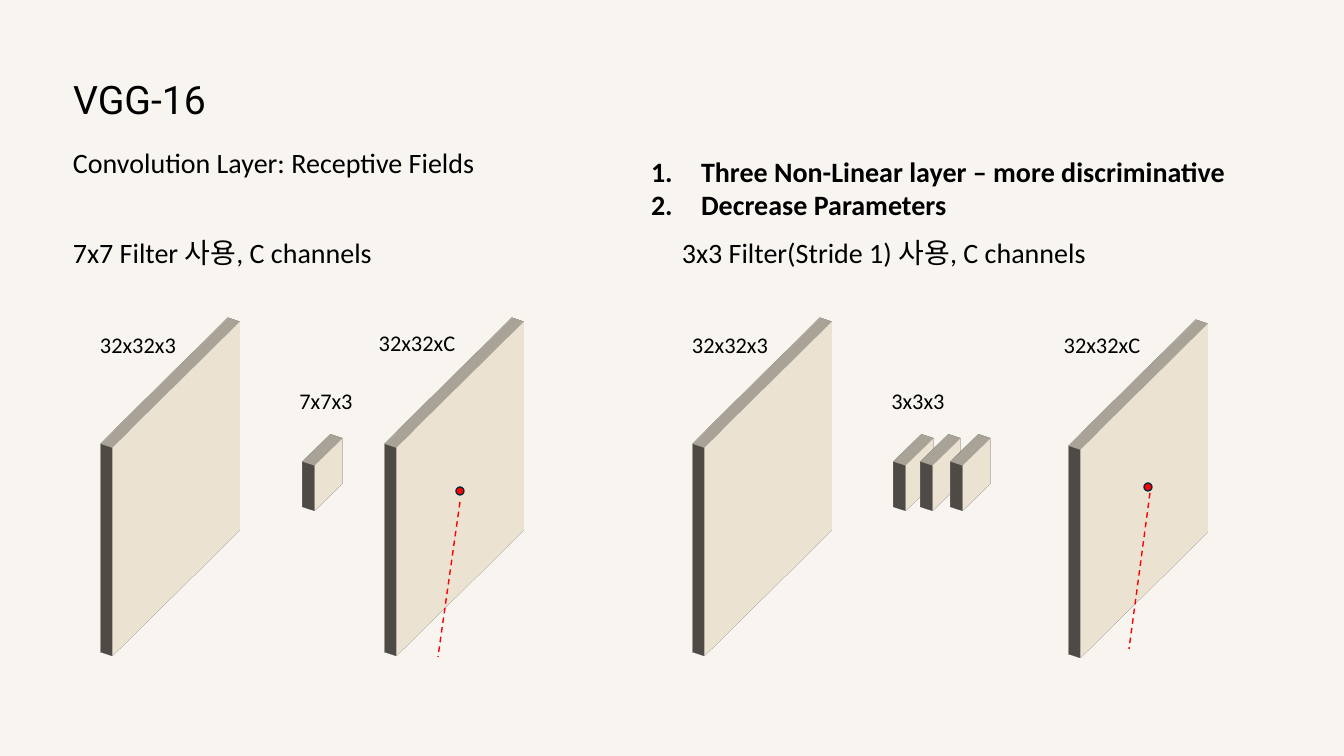
from dataclasses import dataclass

from lxml.etree import SubElement
from pptx import Presentation
from pptx.dml.color import RGBColor
from pptx.enum.dml import MSO_LINE
from pptx.enum.shapes import MSO_CONNECTOR as Connector, MSO_SHAPE as Shape
from pptx.enum.text import MSO_ANCHOR as Anchor, MSO_AUTO_SIZE as AutoSize, PP_ALIGN as Align
from pptx.oxml.ns import qn
from pptx.util import Pt

# Content: boxes are left, top, width, height in px
TITLE = ("VGG-16", (63, 70, 167, 57))
SUBTITLE = ("Convolution Layer: Receptive Fields", (63, 141, 481, 44))
BENEFITS = (["Three Non-Linear layer – more discriminative", "Decrease Parameters"],
            (641, 149, 690, 78))
CAPTIONS = [
    ("7x7 Filter 사용, C channels", (63, 231, 609, 44)),
    ("3x3 Filter(Stride 1) 사용, C channels", (672, 231, 609, 44)),
]
MAP_SIZE, FILTER_SIZE = 254, 55
# Slabs: left and top of the unturned square, size
SLABS = [
    (49, 362, MAP_SIZE), (301, 447, FILTER_SIZE), (333, 362, MAP_SIZE),
    (641, 362, MAP_SIZE), (892, 447, FILTER_SIZE), (919, 447, FILTER_SIZE),
    (949, 447, FILTER_SIZE), (1017, 364, MAP_SIZE),
]
# Slab labels: text, centre, top
LABELS = [
    ("32x32x3", 138, 326), ("7x7x3", 326, 382), ("32x32xC", 417, 324),
    ("32x32x3", 730, 326), ("3x3x3", 918, 382), ("32x32xC", 1102, 326),
]
# Neurons: centre of the dot, start and end of its dashed ray
NEURONS = [
    ((460, 491), (460, 502), (438, 657)),
    ((1148, 487), (1150, 493), (1129, 649)),
]


@dataclass(frozen=True)
class Theme:
    background: str = "F8F5F0"
    ink: str = "000000"
    slab: str = "E8DFCF"
    accent: str = "FF0000"
    dot_edge: str = "092A39"
    title_font: str = "Roboto"
    body_font: str = "Calibri"
    title_size: int = 28
    body_size: int = 20
    label_size: int = 16


THEME = Theme()
SCALE = 914400 / 100.8
SLIDE_W, SLIDE_H = 1344, 756
LABEL_W, LABEL_H = 120, 37
DOT = 8
LIST_INDENT = 50
SLAB_DEPTH = 14
TILT, TURN = 35, 300  # degrees
DEGREE = 60000


def px(length):
    return round(length * SCALE)


def paint(fill, color):
    fill.solid()
    fill.fore_color.rgb = RGBColor.from_string(color)


def write(slide, text, box, holder=None, size=THEME.body_size, font=THEME.body_font,
          bold=False, align=Align.LEFT, wrap=True, numbered=False):
    """Put text, a string or a list of lines, in a placeholder or a new text box."""
    left, top, width, height = map(px, box)
    if holder is None:
        holder = slide.shapes.add_textbox(left, top, width, height)
    else:
        holder.left, holder.top, holder.width, holder.height = left, top, width, height
    frame = holder.text_frame
    frame.auto_size = AutoSize.NONE
    frame.word_wrap = wrap
    frame.vertical_anchor = Anchor.TOP
    frame.text = text if isinstance(text, str) else "\n".join(text)
    for line in frame.paragraphs:
        line.alignment = align
        line.space_before = Pt(0)
        line.font.size, line.font.name, line.font.bold = Pt(size), font, bold
        line.font.color.rgb = RGBColor.from_string(THEME.ink)
        if numbered:
            props = line._p.get_or_add_pPr()
            props.set("marL", str(px(LIST_INDENT)))
            props.set("indent", str(-px(LIST_INDENT)))
            number = SubElement(props, qn("a:buAutoNum"))
            number.set("type", "arabicPeriod")
            props.insert_element_before(number, "a:tabLst", "a:defRPr", "a:extLst")


def draw_slab(slide, left, top, size):
    """Draw a square, extruded and turned by an isometric camera."""
    slab = slide.shapes.add_shape(Shape.RECTANGLE, px(left), px(top), px(size), px(size))
    slab.shadow.inherit = False
    paint(slab.fill, THEME.slab)
    slab.line.fill.background()
    props = slab._element.spPr
    scene = SubElement(props, qn("a:scene3d"))
    camera = SubElement(scene, qn("a:camera"), prst="isometricRightUp")
    SubElement(camera, qn("a:rot"), lat=str(TILT * DEGREE), lon=str(TURN * DEGREE), rev="0")
    SubElement(scene, qn("a:lightRig"), rig="threePt", dir="t")
    SubElement(props, qn("a:sp3d"), extrusionH=str(px(SLAB_DEPTH)))


def draw_neuron(slide, centre, start, end):
    x, y = centre
    dot = slide.shapes.add_shape(Shape.OVAL, px(x - DOT / 2), px(y - DOT / 2), px(DOT), px(DOT))
    dot.shadow.inherit = False
    paint(dot.fill, THEME.accent)
    paint(dot.line.fill, THEME.dot_edge)
    dot.line.width = Pt(1)
    ray = slide.shapes.add_connector(Connector.STRAIGHT, *map(px, start + end))
    paint(ray.line.fill, THEME.accent)
    ray.line.width = Pt(1)
    ray.line.dash_style = MSO_LINE.DASH
    SubElement(ray._element.spPr, qn("a:effectLst"))


def main():
    deck = Presentation()
    deck.slide_width, deck.slide_height = px(SLIDE_W), px(SLIDE_H)
    slide = deck.slides.add_slide(deck.slide_layouts[1])
    paint(slide.background.fill, THEME.background)

    # Headings and list
    write(slide, *TITLE, holder=slide.shapes.title, size=THEME.title_size,
          font=THEME.title_font, wrap=False)
    write(slide, *SUBTITLE, wrap=False)
    write(slide, *BENEFITS, holder=slide.placeholders[1], bold=True, numbered=True)
    for caption, box in CAPTIONS:
        write(slide, caption, box)

    # Feature maps and filters
    for slab in SLABS:
        draw_slab(slide, *slab)
    for label, centre, top in LABELS:
        write(slide, label, (centre - LABEL_W / 2, top, LABEL_W, LABEL_H),
              size=THEME.label_size, align=Align.CENTER)
    for neuron in NEURONS:
        draw_neuron(slide, *neuron)

    deck.save("out.pptx")


if __name__ == "__main__":
    main()
